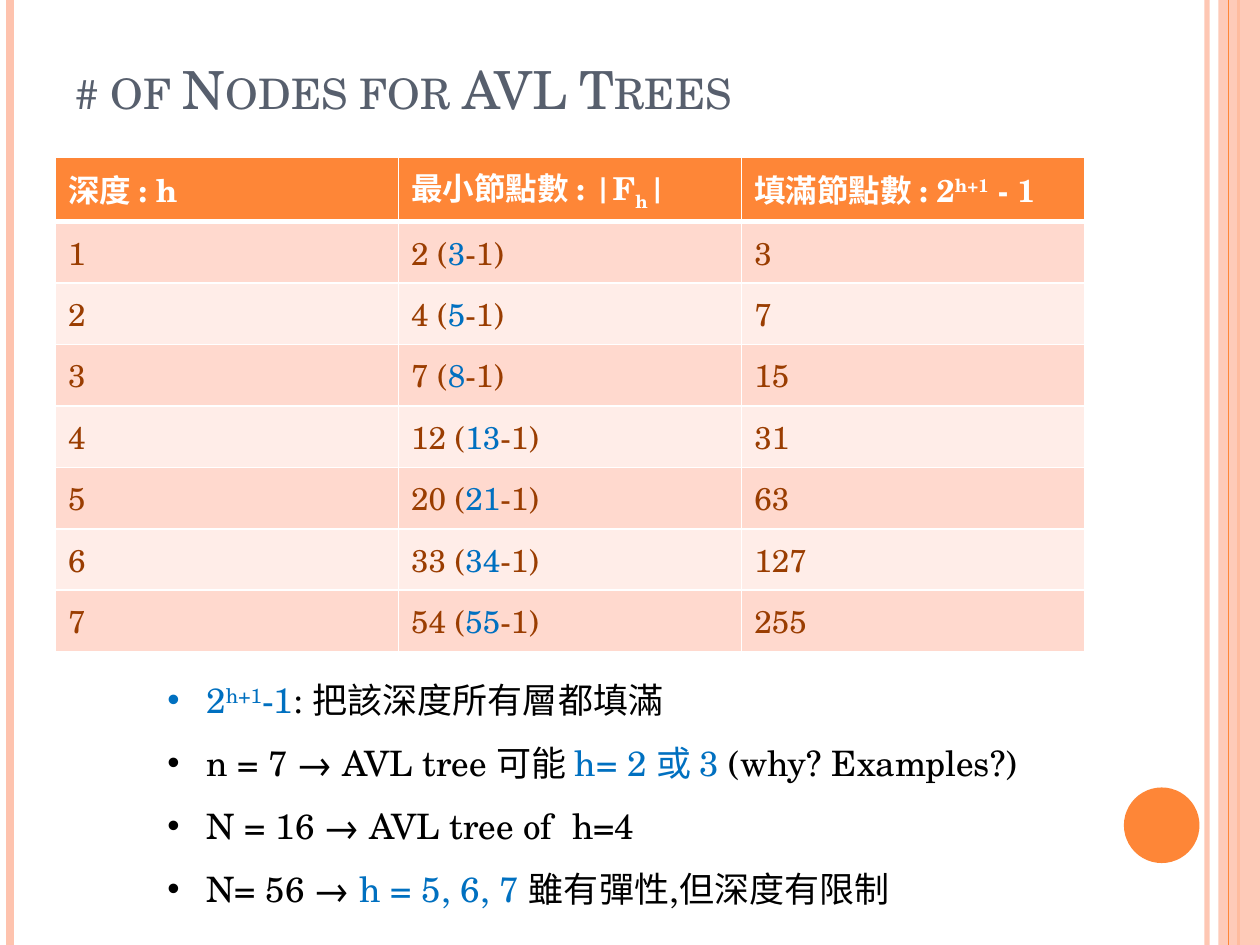
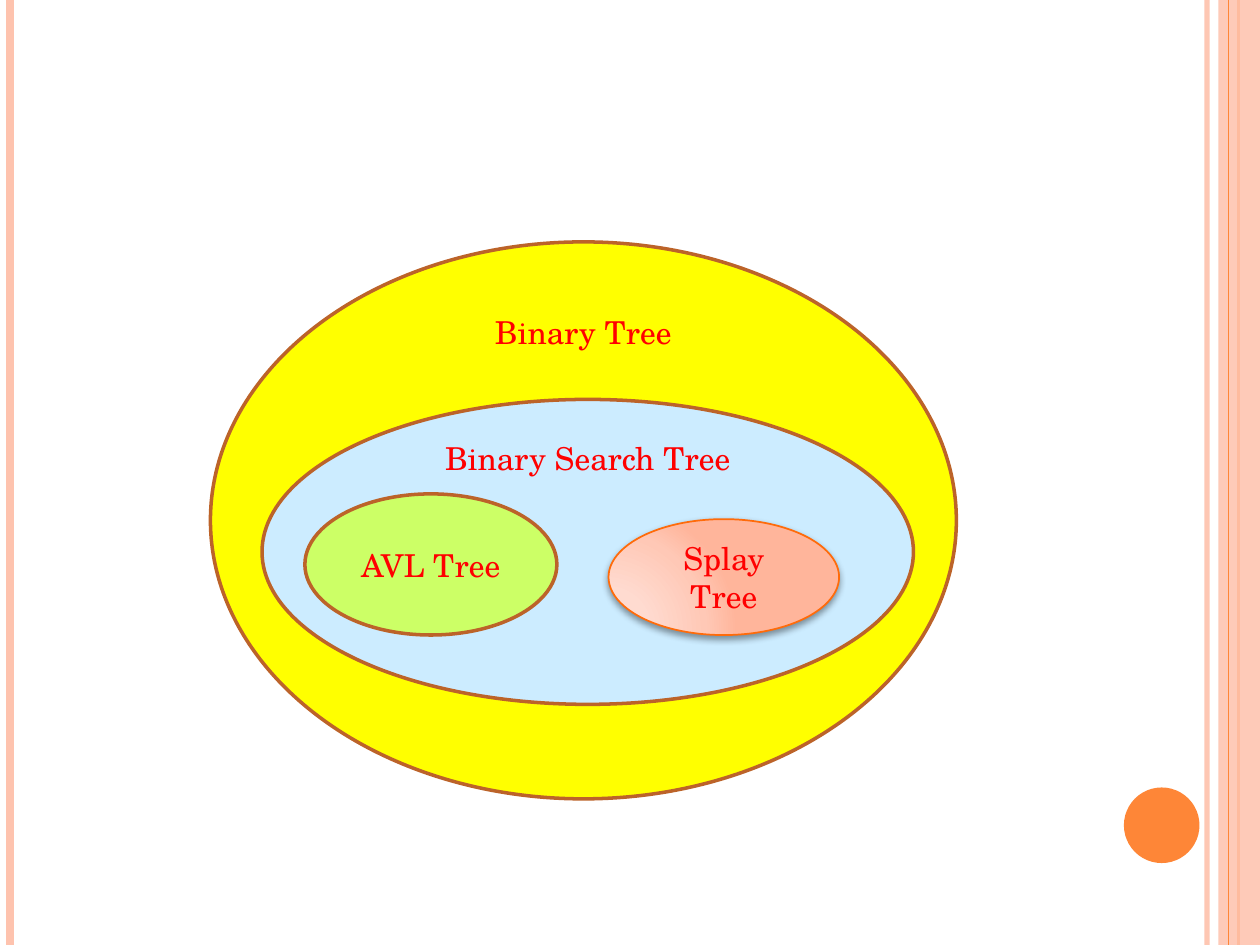
"""Builds two slides on AVL trees: a node-count table and a map of tree families."""
from dataclasses import dataclass

from lxml import etree
from pptx import Presentation
from pptx.dml.color import RGBColor
from pptx.enum.shapes import MSO_CONNECTOR, MSO_SHAPE
from pptx.enum.text import MSO_ANCHOR, MSO_AUTO_SIZE, PP_ALIGN
from pptx.oxml import parse_xml
from pptx.oxml.ns import qn
from pptx.util import Inches, Pt


@dataclass(frozen=True)
class Theme:
    font: str = "TeX Gyre Schola"
    title: str = "575F6D"
    accent: str = "FE8637"
    pale: str = "FEC3AE"
    white: str = "FFFFFF"
    black: str = "000000"
    brown: str = "9A3D01"
    blue: str = "0070C0"
    red: str = "FF0000"
    outline: str = "BC6329"
    stripes: tuple = ("FFD9CE", "FFEDE8")
    title_size: int = 30
    bullet_size: int = 20
    body_size: int = 18


THEME = Theme()
WIDTH, HEIGHT = 10, 7.5
NS = 'xmlns:a="http://schemas.openxmlformats.org/drawingml/2006/main"'

TITLE = "# of Nodes for AVL Trees"
HEADERS = [
    [("深度 : h",)],
    [("最小節點數 : |F",), ("h", None, -25), ("|",)],
    [("填滿節點數 : 2",), ("h+1", None, 30), (" - 1",)],
]
NODE_COUNTS = [(1, 2, 3), (2, 4, 7), (3, 7, 15), (4, 12, 31),
               (5, 20, 63), (6, 33, 127), (7, 54, 255)]
BULLETS = [
    [("2", THEME.blue), ("h+1", THEME.blue, 30), ("-1", THEME.blue), (": 把該深度所有層都填滿",)],
    [("n = 7 → AVL tree 可能 ",), ("h= 2 或 3 ", THEME.blue), ("(why? Examples?)",)],
    [("N = 16 → AVL tree of  h=4",)],
    [("N= 56 → ",), ("h = 5, 6, 7 ", THEME.blue), ("雖有彈性,但深度有限制",)],
]
TABLE_BOX = (0.44, 1.25, 8.17, 3.9)
BULLET_BOX = (1.23, 5.17, 7.38, 2.12)

SPLAY_STOPS = [(0, "FFDED5"), (30, "FFDBD0"), (75, "FFC8B6"), (100, "FFB59B")]
FAMILIES = [
    ("Binary Tree", (1.67, 1.92, 5.92, 4.42), "FFFF00", THEME.outline, 2, -0.08),
    ("Binary Search Tree", (2.08, 3.17, 5.17, 2.42), "CCECFF", THEME.outline, 2, -0.04),
    ("AVL Tree", (2.42, 3.92, 2, 1.12), "CCFF66", THEME.outline, 2, None),
    ("Splay Tree", (4.83, 4.12, 1.83, 0.92), SPLAY_STOPS, "FF6B0A", 1, None),
]
RIGHT_EDGE_LINES = [(9.58, THEME.pale, 3, 93), (0.08, THEME.pale, 4.5, 100),
                    (9.83, THEME.accent, 1.5, 100)]
THIN_LINE = (9.75, THEME.accent, 0.75, 100)


def rgb(value):
    return RGBColor.from_string(value)


def inches(box):
    return [Inches(length) for length in box]


def set_alpha(element, percent):
    colour = next(element.iter(qn("a:srgbClr")))
    etree.SubElement(colour, qn("a:alpha"), val=str(percent * 1000))


def add_runs(paragraph, runs, size, colour, bold=False):
    for text, run_colour, baseline in ((*run, None, None)[:3] for run in runs):
        run = paragraph.add_run()
        run.text = text
        run.font.name, run.font.size, run.font.bold = THEME.font, Pt(size), bold
        run.font.color.rgb = rgb(run_colour or colour)
        if baseline:
            run.font._element.set("baseline", str(baseline * 1000))


def add_vertical_line(slide, x, colour, width, alpha):
    line = slide.shapes.add_connector(MSO_CONNECTOR.STRAIGHT, *inches((x, 0, x, HEIGHT)))
    line.line.color.rgb = rgb(colour)
    line.line.width = Pt(width)
    etree.SubElement(line.element.spPr, qn("a:effectLst"))
    if alpha < 100:
        set_alpha(line.element.spPr, alpha)
    return line


def add_shape(slide, kind, box, fill):
    shape = slide.shapes.add_shape(kind, *inches(box))
    shape.shadow.inherit = False
    shape.fill.solid()
    shape.fill.fore_color.rgb = rgb(fill)
    shape.line.fill.background()
    return shape


def decorate_master(prs, slide):
    parts = [add_vertical_line(slide, *spec) for spec in RIGHT_EDGE_LINES]
    band = add_shape(slide, MSO_SHAPE.RECTANGLE, (9.67, 0, 0.33, HEIGHT), THEME.pale)
    set_alpha(band.element.spPr, 87)
    parts += [band, add_vertical_line(slide, *THIN_LINE),
              add_shape(slide, MSO_SHAPE.OVAL, (8.92, 6.25, 0.6, 0.6), THEME.accent)]
    tree = prs.slide_master.element.cSld.spTree
    for number, part in enumerate(parts, 101):
        next(part.element.iter(qn("p:cNvPr"))).set("id", str(number))
        tree.append(part.element)


def format_title(slide):
    title = slide.shapes.title
    title.left, title.top, title.width, title.height = inches((0.5, 0.3, 8.17, 0.7))
    title.text_frame.vertical_anchor = MSO_ANCHOR.BOTTOM
    paragraph = title.text_frame.paragraphs[0]
    paragraph.alignment = PP_ALIGN.LEFT
    add_runs(paragraph, [(TITLE,)], THEME.title_size, THEME.title)
    paragraph.runs[0].font._element.set("cap", "small")


def set_borders(cell, top, bottom):
    widths = {"lnL": 1, "lnR": 1, "lnT": top, "lnB": bottom}
    for index, (side, width) in enumerate(widths.items()):
        border = parse_xml(f'<a:{side} {NS} w="{Pt(width)}"><a:solidFill>'
                           f'<a:srgbClr val="{THEME.white}"/></a:solidFill></a:{side}>')
        cell._tc.get_or_add_tcPr().insert(index, border)


def add_node_table(slide):
    body = [[[(str(depth),)],
             [(f"{least} (",), (str(least + 1), THEME.blue), ("-1)",)],
             [(str(full),)]] for depth, least, full in NODE_COUNTS]
    rows = [HEADERS] + body
    table = slide.shapes.add_table(len(rows), len(HEADERS), *inches(TABLE_BOX)).table
    for column in table.columns:
        column.width = Inches(TABLE_BOX[2] / len(HEADERS))
    for r, row in enumerate(rows):
        table.rows[r].height = Inches(TABLE_BOX[3] / len(rows))
        header = r == 0
        for c, runs in enumerate(row):
            cell = table.cell(r, c)
            cell.vertical_anchor = MSO_ANCHOR.MIDDLE
            cell.fill.solid()
            cell.fill.fore_color.rgb = rgb(THEME.accent if header else THEME.stripes[(r - 1) % 2])
            set_borders(cell, 3 if r == 1 else 1, 3 if header else 1)
            add_runs(cell.text_frame.paragraphs[0], runs, THEME.body_size,
                     THEME.white if header else THEME.brown, header)


def add_bullets(slide):
    frame = slide.shapes.add_textbox(*inches(BULLET_BOX)).text_frame
    frame.word_wrap = True
    frame.auto_size = MSO_AUTO_SIZE.SHAPE_TO_FIT_TEXT
    for index, runs in enumerate(BULLETS):
        paragraph = frame.add_paragraph() if index else frame.paragraphs[0]
        paragraph.line_spacing = 1.5
        properties = paragraph._p.get_or_add_pPr()
        properties.set("marL", str(Inches(0.31)))
        properties.set("indent", str(-Inches(0.31)))
        etree.SubElement(properties, qn("a:buFont"), typeface="Arial")
        etree.SubElement(properties, qn("a:buChar"), char="•")
        add_runs(paragraph, runs, THEME.bullet_size, THEME.black)


def add_glow(shape, stops):
    marks = "".join(f'<a:gs pos="{pos * 1000}"><a:srgbClr val="{colour}"/></a:gs>'
                    for pos, colour in stops)
    properties = shape.element.spPr
    properties.replace(properties.find(qn("a:solidFill")), parse_xml(
        f'<a:gradFill {NS} rotWithShape="1"><a:gsLst>{marks}</a:gsLst><a:path path="circle">'
        '<a:fillToRect l="5000" t="100000" r="120000" b="10000"/></a:path></a:gradFill>'))
    properties.find(qn("a:effectLst")).append(parse_xml(
        f'<a:outerShdw {NS} blurRad="{Pt(4)}" dist="{Pt(2)}" dir="5400000" rotWithShape="0">'
        f'<a:srgbClr val="{THEME.black}"><a:alpha val="40000"/></a:srgbClr></a:outerShdw>'))


def add_family(slide, name, box, fill, outline, width, top_inset):
    gradient = isinstance(fill, list)
    oval = add_shape(slide, MSO_SHAPE.OVAL, box, fill[0][1] if gradient else fill)
    oval.line.color.rgb = rgb(outline)
    oval.line.width = Pt(width)
    if gradient:
        add_glow(oval, fill)
    frame = oval.text_frame
    frame.word_wrap = True
    frame.vertical_anchor = MSO_ANCHOR.MIDDLE
    if top_inset is not None:
        frame.vertical_anchor = MSO_ANCHOR.TOP
        frame.margin_top = Inches(top_inset)
    frame.paragraphs[0].alignment = PP_ALIGN.CENTER
    add_runs(frame.paragraphs[0], [(name,)], THEME.body_size, THEME.red)


def main():
    prs = Presentation()
    prs.slide_width, prs.slide_height = Inches(WIDTH), Inches(HEIGHT)
    counts = prs.slides.add_slide(prs.slide_layouts.get_by_name("Title Only"))
    decorate_master(prs, counts)
    format_title(counts)
    add_node_table(counts)
    add_bullets(counts)
    families = prs.slides.add_slide(prs.slide_layouts.get_by_name("Blank"))
    for family in FAMILIES:
        add_family(families, *family)
    prs.save("out.pptx")


main()
